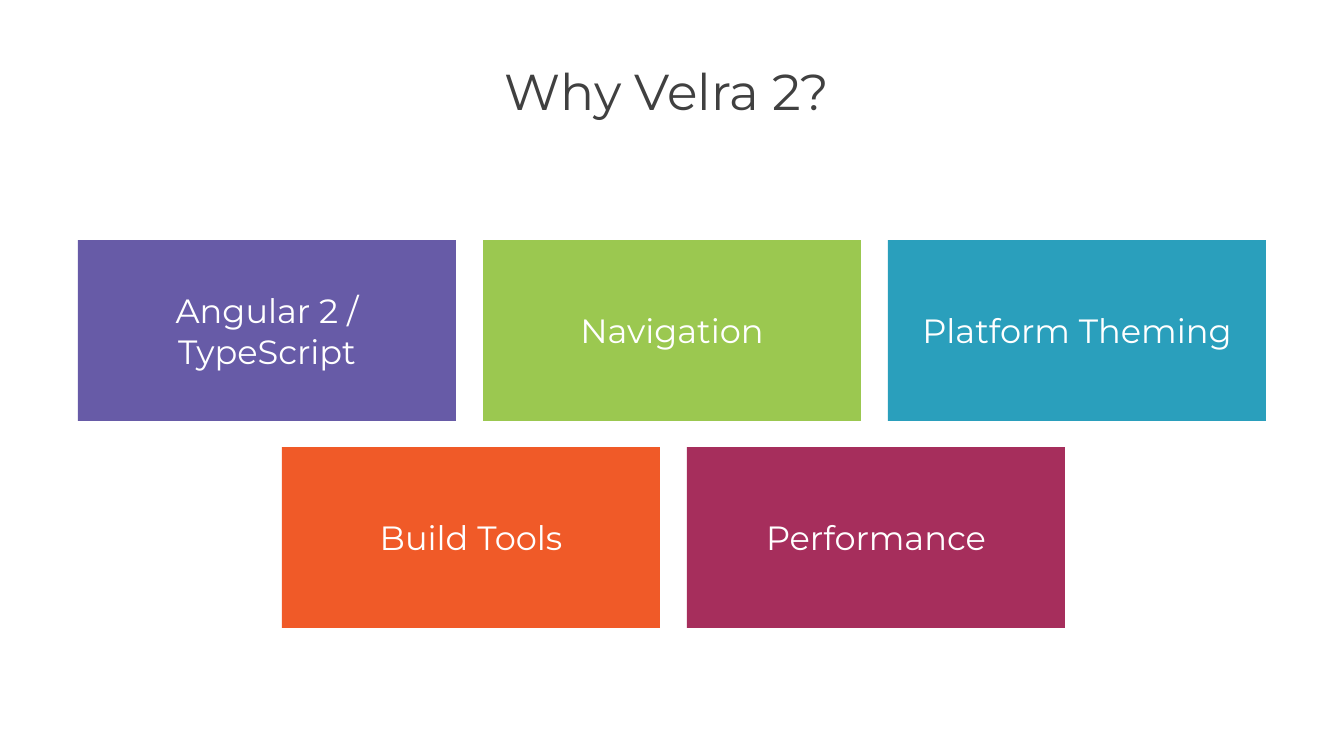
import pptx
import pptx.dml.color
import pptx.enum.shapes
import pptx.enum.text
import pptx.util
from dataclasses import dataclass

EMU_PER_PX = 914400 / 100.8


@dataclass(frozen=True)
class Theme:
    font: str = "Montserrat"
    title_size: int = 36
    tile_size: int = 24
    title_color: str = "404040"
    tile_text: str = "FFFFFF"
    purple: str = "675BA7"
    green: str = "9BC850"
    blue: str = "2A9FBC"
    orange: str = "F05A28"
    berry: str = "A62E5C"


THEME = Theme()

# Tile grid, in pixels
TILE_W, TILE_H = 378, 181
STEP_X, STEP_Y = 405, 207
TILES_TOP = 240
TILE_INSET = 30

# Each row: left edge, then label and fill of its tiles
ROWS = [
    (78, [("Angular 2 / TypeScript", THEME.purple),
          ("Navigation", THEME.green),
          ("Platform Theming", THEME.blue)]),
    (282, [("Build Tools", THEME.orange),
           ("Performance", THEME.berry)]),
]


def px(n):
    return pptx.util.Emu(round(n * EMU_PER_PX))


def rgb(value):
    return pptx.dml.color.RGBColor.from_string(value)


def set_text(sp, text, *, size, color, anchor, insets, line_spacing=1.0):
    """Write one centred paragraph into a shape."""
    tf = sp.text_frame
    tf.word_wrap = True
    tf.auto_size = pptx.enum.text.MSO_AUTO_SIZE.NONE
    tf.vertical_anchor = anchor
    tf.margin_left, tf.margin_top, tf.margin_right, tf.margin_bottom = map(px, insets)
    p = tf.paragraphs[0]
    p.alignment = pptx.enum.text.PP_ALIGN.CENTER
    p.line_spacing = line_spacing
    r = p.add_run()
    r.text = text
    r.font.name = THEME.font
    r.font.size = pptx.util.Pt(size)
    r.font.color.rgb = rgb(color)


def add_title(slide, text):
    sp = slide.shapes.title
    sp.left, sp.top, sp.width, sp.height = map(px, (78, 64, 1188, 48))
    set_text(sp, text, size=THEME.title_size, color=THEME.title_color,
             anchor=pptx.enum.text.MSO_ANCHOR.TOP, insets=(0, 5, 10, 5),
             line_spacing=0.85)


def add_tile(slide, left, top, label, fill):
    sp = slide.shapes.add_shape(pptx.enum.shapes.MSO_SHAPE.RECTANGLE,
                                px(left), px(top), px(TILE_W), px(TILE_H))
    sp.shadow.inherit = False
    sp.fill.solid()
    sp.fill.fore_color.rgb = rgb(fill)
    sp.line.fill.background()
    set_text(sp, label, size=THEME.tile_size, color=THEME.tile_text,
             anchor=pptx.enum.text.MSO_ANCHOR.MIDDLE, insets=[TILE_INSET] * 4)


def main():
    prs = pptx.Presentation()
    prs.slide_width, prs.slide_height = px(1344), px(756)
    slide = prs.slides.add_slide(prs.slide_layouts.get_by_name("Title Only"))

    add_title(slide, "Why Velra 2?")

    # Tiles, row by row
    for row, (left, tiles) in enumerate(ROWS):
        for col, (label, fill) in enumerate(tiles):
            add_tile(slide, left + col * STEP_X, TILES_TOP + row * STEP_Y, label, fill)

    prs.save("out.pptx")


main()
